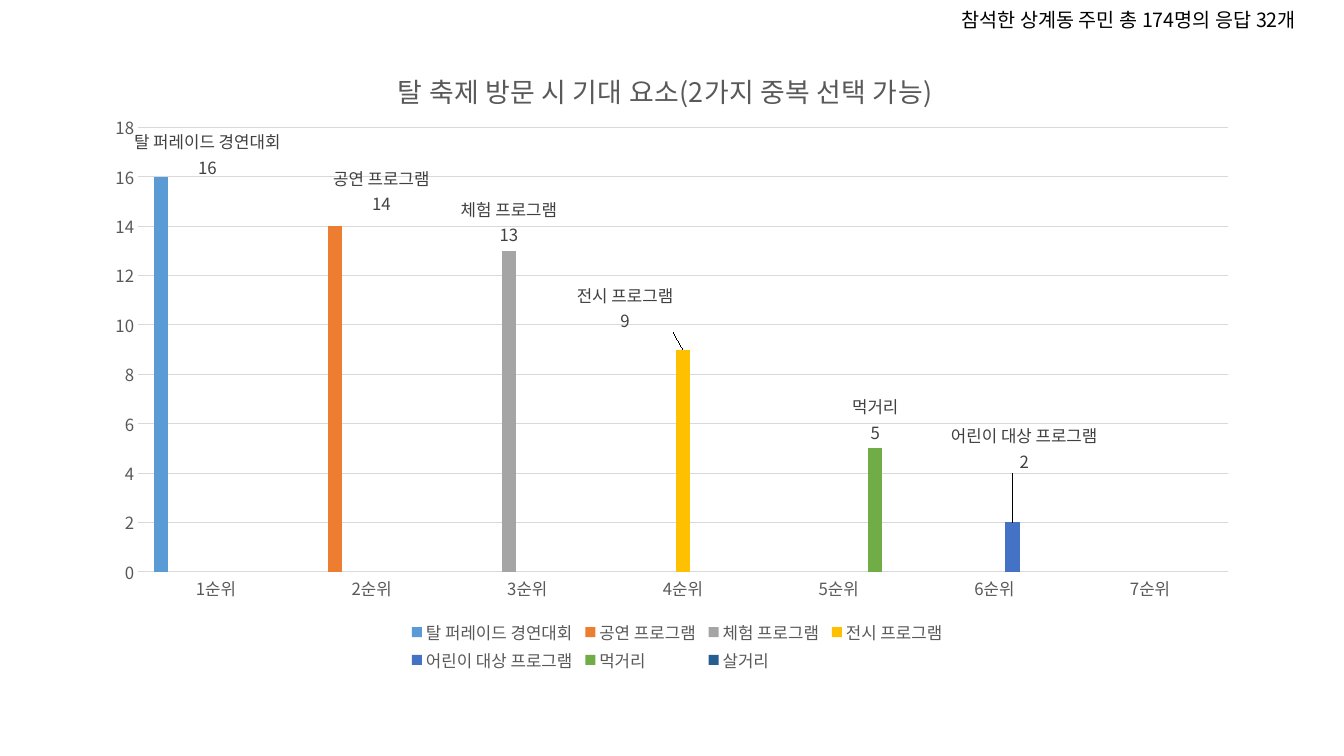
from copy import deepcopy
from lxml.etree import SubElement
from pptx import Presentation
from pptx.chart.data import CategoryChartData
from pptx.dml.color import RGBColor
from pptx.enum.chart import XL_CHART_TYPE, XL_LABEL_POSITION, XL_LEGEND_POSITION, XL_TICK_MARK
from pptx.enum.text import MSO_AUTO_SIZE
from pptx.oxml.ns import qn
from pptx.util import Inches, Pt

FONT = "Noto Sans CJK KR"
COLORS = {"text": "000000", "axis": "595959", "label": "404040", "grid": "D9D9D9",
          "parade": "5B9BD5", "show": "ED7D31", "hands_on": "A5A5A5", "exhibit": "FFC000",
          "kids": "4472C4", "food": "70AD47", "shopping": "255E91"}

# Name, colour, rank, votes, label offset as a share of the chart
PROGRAMS = [
    ("탈 퍼레이드 경연대회", "parade", 1, 16, (0.04, 0.01)),
    ("공연 프로그램", "show", 2, 14, (0.04, -0.01)),
    ("체험 프로그램", "hands_on", 3, 13, None),
    ("전시 프로그램", "exhibit", 4, 9, (-0.05, -0.02)),
    ("어린이 대상 프로그램", "kids", 6, 2, (0.01, -0.07)),
    ("먹거리", "food", 5, 5, None),
    ("살거리", "shopping", 7, None, None),
]


def style(font, size, color):
    font.name, font.size, font.bold = FONT, Pt(size), False
    font.color.rgb = RGBColor.from_string(COLORS[color])


def set_layout(parent, index, **values):
    for old in parent.findall(qn("c:layout")):
        parent.remove(old)
    layout = SubElement(parent, qn("c:layout"))
    manual = SubElement(layout, qn("c:manualLayout"))
    for tag, value in values.items():
        SubElement(manual, qn("c:" + tag)).set("val", str(value))
    parent.insert(index, layout)


prs = Presentation()
prs.slide_width, prs.slide_height = Inches(13.33), Inches(7.5)
s = prs.slides.add_slide(prs.slide_layouts[6])

# Chart of expected festival programs
data = CategoryChartData()
data.categories = [f"{rank}순위" for rank in range(1, 8)]
for name, color, rank, votes, offset in PROGRAMS:
    data.add_series(name, [votes if i == rank else None for i in range(1, 8)])
chart = s.shapes.add_chart(XL_CHART_TYPE.COLUMN_CLUSTERED, Inches(0.91), Inches(0.37),
                           Inches(11.5), Inches(6.39), data).chart
style(chart.font, 10, "text")
root = chart._chartSpace

# Title
chart.has_title = True
p = chart.chart_title.text_frame.paragraphs[0]
r = p.add_run()
r.text = "탈 축제 방문 시 기대 요소(2가지 중복 선택 가능)"
style(r.font, 19.2, "axis")
set_layout(root.find(".//" + qn("c:title")), 1, xMode="edge", yMode="edge", x=0.26, y=0.04)

# Plot area and legend
set_layout(root.find(".//" + qn("c:plotArea")), 0, layoutTarget="inner",
           xMode="edge", yMode="edge", x=0.04, y=0.14, w=0.94, h=0.69)
chart.has_legend = True
chart.legend.position = XL_LEGEND_POSITION.BOTTOM
chart.legend.include_in_layout = False
style(chart.legend.font, 12, "axis")
set_layout(root.find(".//" + qn("c:legend")), 1, xMode="edge", yMode="edge",
           x=0.27, y=0.9, w=0.47, h=0.09)

# Axes
for axis in (chart.category_axis, chart.value_axis):
    axis.major_tick_mark = axis.minor_tick_mark = XL_TICK_MARK.NONE
    style(axis.tick_labels.font, 12, "axis")
value_axis = chart.value_axis
value_axis.minimum_scale, value_axis.maximum_scale, value_axis.major_unit = 0, 18, 2
value_axis.format.line.fill.background()
for line in (chart.category_axis.format.line, value_axis.major_gridlines.format.line):
    line.color.rgb = RGBColor.from_string(COLORS["grid"])
    line.width = Pt(0.75)

# Columns with name and value labels
plot = chart.plots[0]
plot.gap_width, plot.overlap, plot.vary_by_categories = 219, -27, False
for series, (name, color, rank, votes, offset) in zip(plot.series, PROGRAMS):
    series.format.fill.solid()
    series.format.fill.fore_color.rgb = RGBColor.from_string(COLORS[color])
    series.invert_if_negative = False
    labels = series.data_labels
    labels.show_value = labels.show_series_name = True
    labels.position = XL_LABEL_POSITION.OUTSIDE_END
    style(labels.font, 12, "label")
    group = series._element.find(qn("c:dLbls"))
    separator = SubElement(group, qn("c:separator"))
    separator.text = "\n"
    group.find(qn("c:showBubbleSize")).addnext(separator)
    if offset:
        parts = [deepcopy(e) for e in group if e.tag != qn("c:showLeaderLines")]
        label = SubElement(group, qn("c:dLbl"))
        SubElement(label, qn("c:idx")).set("val", str(rank - 1))
        set_layout(label, 1, x=offset[0], y=offset[1])
        label.extend(parts)
        group.insert(0, label)

# Respondent count
tf = s.shapes.add_textbox(Inches(9.44), Inches(0.03), Inches(3.97), Inches(0.34)).text_frame
tf.word_wrap = False
tf.auto_size = MSO_AUTO_SIZE.SHAPE_TO_FIT_TEXT
r = tf.paragraphs[0].add_run()
r.text = "참석한 상계동 주민 총 174명의 응답 32개 "
style(r.font, 14, "text")

prs.save("out.pptx")
